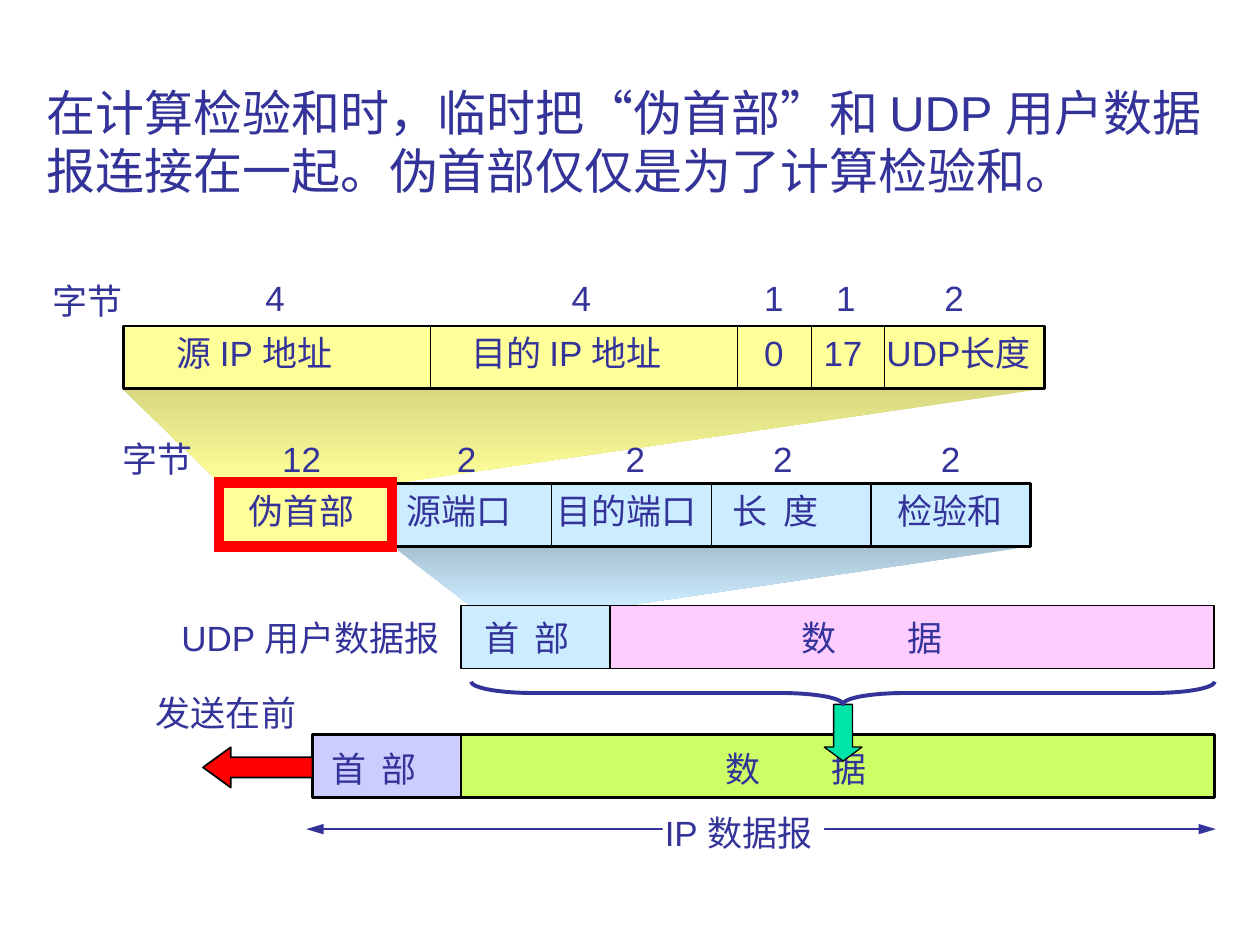
import dataclasses

import pptx
import pptx.dml.color
import pptx.enum.dml
import pptx.enum.shapes
import pptx.enum.text
import pptx.oxml
import pptx.oxml.ns
import pptx.util
from lxml import etree

Pt = pptx.util.Pt
Shape = pptx.enum.shapes.MSO_SHAPE
qn = pptx.oxml.ns.qn


@dataclasses.dataclass(frozen=True)
class Theme:
    ink: str = "333399"
    outline: str = "000000"
    white: str = "FFFFFF"
    yellow: str = "FFFF99"
    yellow_dark: str = "D8D882"
    blue: str = "CCECFF"
    blue_dark: str = "A7C1D1"
    pink: str = "FFCCFF"
    lilac: str = "CCCCFF"
    lime: str = "CCFF66"
    green: str = "00E4A8"
    red: str = "FF0000"
    font: str = "Arial"
    title_font: str = "Cabin"
    title_size: int = 28
    label_size: int = 20


THEME = Theme()
ROW_HEIGHT = 36
LABEL_HEIGHT = 31.5
NARROW_GAP, WIDE_GAP = 28.6, 60.5  # tab stops inside spaced-out labels
# Label widths: one and two digits, two to four Chinese characters, wide gap
DIGIT, DIGITS, TWO, THREE, FOUR, SPACED = 25.6, 37, 55, 75, 95, 144.7


def rgb(value):
    return pptx.dml.color.RGBColor.from_string(value)


def style(shape, fill=None, line=None, weight=1):
    shape.shadow.inherit = False
    if fill:
        shape.fill.solid()
        shape.fill.fore_color.rgb = rgb(fill)
    else:
        shape.fill.background()
    if line:
        shape.line.color.rgb = rgb(line)
        shape.line.width = Pt(weight)
    else:
        shape.line.fill.background()


def add_preset(slide, kind, left, top, width, height, adjustments=(), **look):
    shape = slide.shapes.add_shape(kind, Pt(left), Pt(top), Pt(width), Pt(height))
    for index, value in enumerate(adjustments):
        shape.adjustments[index] = value
    style(shape, **look)
    return shape


def add_bar(slide, left, top, width, fill, weight=1):
    return add_preset(slide, Shape.RECTANGLE, left, top, width, ROW_HEIGHT,
                      fill=fill, line=THEME.outline, weight=weight)


def add_outline(slide, points, close=True):
    corners = [(Pt(x), Pt(y)) for x, y in points]
    builder = slide.shapes.build_freeform(*corners[0])
    builder.add_line_segments(corners[1:], close=close)
    return builder.convert_to_shape()


def add_zoom(slide, points, top_color, bottom_color):
    shape = add_outline(slide, points)
    style(shape)
    shape.fill.gradient()
    shape.fill.gradient_angle = 270
    for stop, position, color in zip(shape.fill.gradient_stops, (0, 1),
                                     (top_color, bottom_color)):
        stop.position = position
        stop.color.rgb = rgb(color)


def add_line_detail(shape, tag, **attributes):
    etree.SubElement(shape.line._get_or_add_ln(), qn(tag), **attributes)


def add_line(slide, start, end, color):
    connector = slide.shapes.add_connector(
        pptx.enum.shapes.MSO_CONNECTOR.STRAIGHT, *map(Pt, start + end))
    connector.line.color.rgb = rgb(color)
    connector.line.width = Pt(0.75)
    etree.SubElement(connector._element.spPr, qn("a:effectLst"))
    return connector


def add_dividers(slide, bar, positions):
    top = bar.top.pt
    middle = bar.left.pt + bar.width.pt / 2
    for x in positions:
        divider = add_line(slide, (x, top), (x, top + ROW_HEIGHT), THEME.outline)
        if abs(x - middle) < 0.1:
            divider.begin_connect(bar, 0)
            divider.end_connect(bar, 2)


def add_text(slide, text, left, top, width, height=LABEL_HEIGHT, size=THEME.label_size,
             wrap=False, tab=None, more="", more_font=None):
    box = slide.shapes.add_textbox(Pt(left), Pt(top), Pt(width), Pt(height))
    frame = box.text_frame
    frame.word_wrap = wrap
    frame.auto_size = pptx.enum.text.MSO_AUTO_SIZE.SHAPE_TO_FIT_TEXT
    paragraph = frame.paragraphs[0]
    if tab:
        tabs = etree.SubElement(paragraph._p.get_or_add_pPr(), qn("a:tabLst"))
        etree.SubElement(tabs, qn("a:tab"), pos=str(Pt(tab)), algn="l")
    for words, font in ((text, THEME.font), (more, more_font)):
        if words:
            run = paragraph.add_run()
            run.text = words
            run.font.name = font
            run.font.size = Pt(size)
            run.font.color.rgb = rgb(THEME.ink)


def add_labels(slide, top, labels):
    for text, left, width in labels:
        add_text(slide, text, left, top, width, tab=NARROW_GAP if "\t" in text else None)


def main():
    presentation = pptx.Presentation()
    presentation.slide_width, presentation.slide_height = Pt(720), Pt(540)
    slide = presentation.slides.add_slide(presentation.slide_layouts[6])

    # Row tops, from the pseudo header fields down to the IP datagram
    fields_top, header_top, udp_top, ip_top = 186.2, 276.2, 346, 419.8

    # Zoom areas between the rows
    add_zoom(slide, [(224.5, 312.2), (589, 312.2), (358, udp_top), (268, 345.6)],
             THEME.blue_dark, THEME.blue)
    add_zoom(slide, [(70, 222.2), (596, 222.2), (224.5, header_top), (126, header_top)],
             THEME.yellow_dark, THEME.yellow)

    # Pseudo header fields
    fields = add_bar(slide, 70.5, fields_top, 526.5, THEME.yellow, weight=1.5)
    add_dividers(slide, fields, (246, 421.4, 463.6, 505.5))
    add_labels(slide, 185.8, [("源 IP 地址", 94, 118.4), ("目的 IP 地址", 262.3, 138.6),
                              ("0", 429.6, DIGIT), ("17", 463.5, DIGITS),
                              ("UDP长度", 499.5, 102)])
    add_labels(slide, 154.2, [("4", 144.5, DIGIT), ("4", 319.5, DIGIT),
                              ("1", 429.6, DIGIT), ("1", 470.7, DIGIT),
                              ("2", 532.6, DIGIT)])
    add_text(slide, "字节", 23, 156.2, TWO)

    # UDP header fields, in four equal parts after the pseudo header
    header_left, header_width = 224, 365
    header = add_bar(slide, header_left, header_top, header_width, THEME.blue, weight=1.5)
    add_dividers(slide, header,
                 [header_left + header_width * part / 4 for part in (1, 2, 3)])
    pseudo = add_outline(slide, [(224.5, 312.2), (126, 312.2), (126, header_top),
                                 (224.5, header_top)], close=False)
    style(pseudo, fill=THEME.yellow, line=THEME.outline, weight=1.5)
    pseudo.line.dash_style = pptx.enum.dml.MSO_LINE.DASH
    add_labels(slide, 276, [("伪首部", 135.2, THREE), ("源端口", 225.2, THREE),
                            ("目的端口", 311, FOUR), ("长\t度", 411.8, THREE),
                            ("检验和", 506, THREE)])
    add_labels(slide, 246.6, [("字节", 63, TWO), ("12", 154.1, DIGITS),
                              ("2", 254, DIGIT), ("2", 350.4, DIGIT),
                              ("2", 434.7, DIGIT), ("2", 530.6, DIGIT)])

    # IP datagram
    add_bar(slide, 263.5, ip_top, 430.5, THEME.lime, weight=1.5)
    add_bar(slide, 178.5, ip_top, 85, THEME.lilac, weight=1.5)
    add_preset(slide, Shape.LEFT_ARROW, 116, 427, 62.5, 23, (0.5, 0.69),
               fill=THEME.red, line=THEME.outline)
    add_labels(slide, 423.4, [("首\t部", 182.2, THREE)])
    add_text(slide, "数\t据", 407.5, 423.4, SPACED, tab=WIDE_GAP)
    add_text(slide, "发送在前", 82, 391.7, FOUR)

    # Extent of the IP datagram
    extent = add_line(slide, (175, 473.8), (694.8, 473.8), THEME.ink)
    for end in ("a:headEnd", "a:tailEnd"):
        add_line_detail(extent, end, type="triangle", w="med", len="lg")
    add_preset(slide, Shape.RECTANGLE, 378.7, 461.5, 92.2, 23, fill=THEME.white)
    add_text(slide, "IP 数据报", 372.8, 460, 104.2)

    # UDP datagram, which becomes the IP data
    add_preset(slide, Shape.DOWN_ARROW, 471, 402.5, 21.6, 32.4, (0.5, 0.37),
               fill=THEME.green, line=THEME.outline, weight=0.75)
    add_bar(slide, 263.5, udp_top, 85, THEME.blue)
    add_bar(slide, 348.5, udp_top, 345.5, THEME.pink)
    add_labels(slide, 349, [("首\t部", 270, THREE), ("UDP 用户数据报", 96.5, 168)])
    add_text(slide, "数\t据", 450.7, 349, SPACED, tab=WIDE_GAP)
    brace = add_preset(slide, Shape.LEFT_BRACE, 475.2, 183.6, 13, 424.8, (2.72, 0.5),
                       line=THEME.ink, weight=2.25)
    brace.rotation = 270

    # Sharp-cornered frame around the pseudo header
    frame = add_preset(slide, Shape.RECTANGLE, 125.3, 275.6, 98.7, 36.7,
                       line=THEME.red, weight=6)
    add_line_detail(frame, "a:miter", lim="800000")

    # Explanation
    add_text(slide, "在计算检验和时，临时把“伪首部”和 UDP 用户数据报连接在一起。",
             19.5, 43.4, 683.3, height=75, size=THEME.title_size, wrap=True,
             more="伪首部仅仅是为了计算检验和。", more_font=THEME.title_font)

    presentation.save("out.pptx")


if __name__ == "__main__":
    main()
